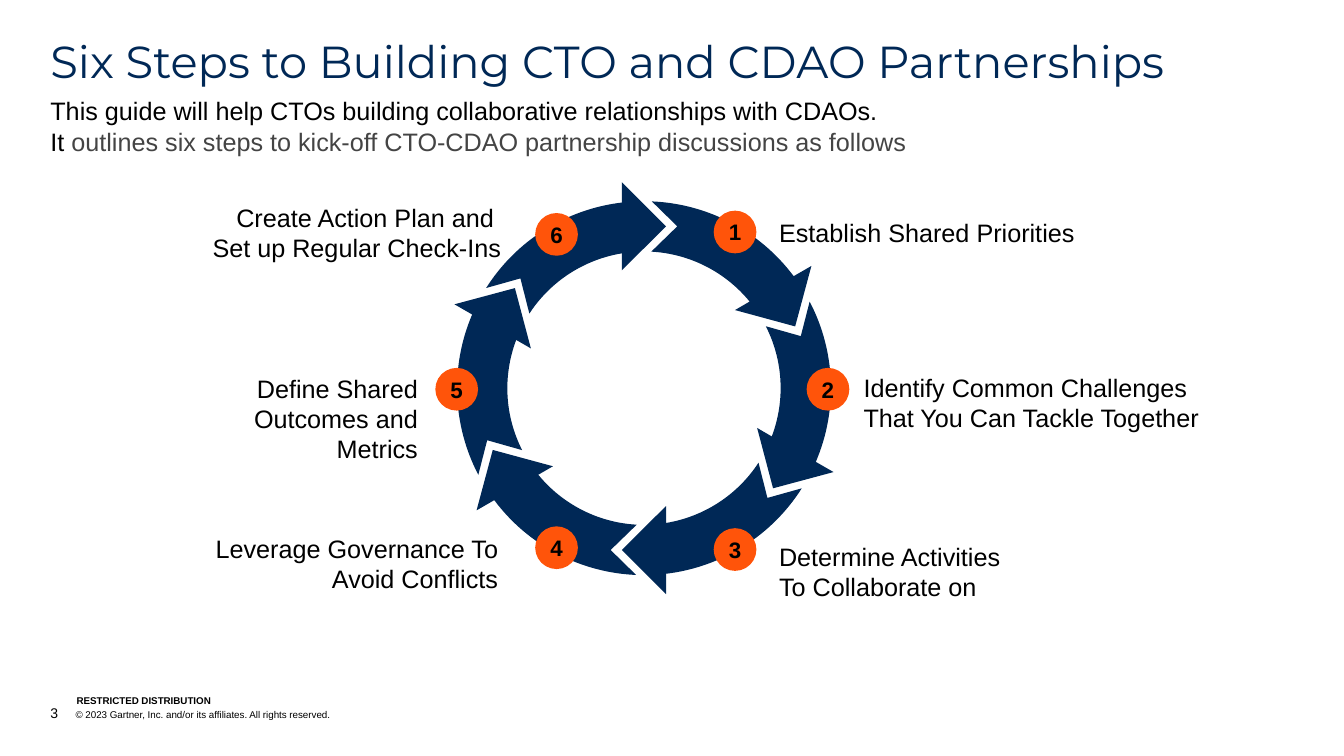
from dataclasses import dataclass
from math import atan2, cos, radians, sin, tan

from pptx import Presentation
from pptx import util as u
from pptx.dml.color import RGBColor
from pptx.enum import shapes, text
from pptx.oxml import ns
from lxml import etree


@dataclass(frozen=True)
class Theme:
    navy: RGBColor = RGBColor(0x00, 0x28, 0x56)
    orange: RGBColor = RGBColor(0xFF, 0x54, 0x0A)
    black: RGBColor = RGBColor(0x00, 0x00, 0x00)
    gray: RGBColor = RGBColor(0x44, 0x44, 0x44)
    heading_font: str = "Montserrat"
    body_font: str = "Arial"
    title_size: float = 32
    body_size: float = 18
    badge_size: float = 16
    page_size: float = 10
    footer_size: float = 7


@dataclass(frozen=True)
class Area:
    left: float
    top: float
    width: float
    height: float

    def lengths(self) -> list:
        return [u.Pt(value) for value in (self.left, self.top, self.width, self.height)]


@dataclass(frozen=True)
class Step:
    number: int
    lines: tuple
    area: Area
    badge_left: float
    badge_top: float
    align: text.PP_ALIGN


THEME = Theme()
LEFT, RIGHT = text.PP_ALIGN.LEFT, text.PP_ALIGN.RIGHT
BADGE_DIAMETER = 30.5
RING_CENTER = (460, 277.3)
ARROW_COUNT = 6
TAIL_OUTER, TAIL_NOTCH, TAIL_INNER = (5.6, -133.4), (23.8, -115.6), (5.2, -97.5)
HEAD_OUTER, HEAD_TIP, HEAD_INNER = (-15.8, -147.2), (15.8, -115.6), (-15.8, -84.2)
SHOULDER_OUTER, SHOULDER_INNER = (-15.8, -132.6), (-15.8, -96.3)
ARC_SEGMENTS = (0, 5)

STEPS = (
    Step(1, ("Establish Shared Priorities",),
         Area(549.4, 151.6, 236.2, 28.8), 509.8, 150.5, LEFT),
    Step(2, ("Identify Common Challenges That You Can Tackle Together",),
         Area(609.8, 262.1, 263.5, 51.1), 576.2, 262.8, LEFT),
    Step(3, ("Determine Activities To Collaborate on",),
         Area(549.4, 383, 182.2, 51.1), 509.8, 377.3, LEFT),
    Step(4, ("Leverage Governance To Avoid Conflicts",),
         Area(128.9, 377.3, 234, 51.1), 382.3, 376, RIGHT),
    Step(5, ("Define Shared Outcomes and Metrics",),
         Area(113.6, 262.8, 192, 72.7), 311, 262.8, RIGHT),
    Step(6, ("Create Action Plan and ", "Set up Regular Check-Ins"),
         Area(126, 140.8, 239, 51.1), 382.3, 152.2, RIGHT),
)


def style_font(font, size: float, color: RGBColor, bold: bool = False,
               name: str = THEME.body_font) -> None:
    font.name = name
    font.size = u.Pt(size)
    font.bold = bold
    font.color.rgb = color


def set_frame(frame, side: float, edge: float, anchor=text.MSO_ANCHOR.TOP) -> None:
    frame.word_wrap = True
    frame.auto_size = text.MSO_AUTO_SIZE.NONE
    frame.vertical_anchor = anchor
    frame.margin_left = frame.margin_right = u.Pt(side)
    frame.margin_top = frame.margin_bottom = u.Pt(edge)


def add_text(page, area: Area, lines: tuple, size: float, align=LEFT, bold: bool = False,
             side: float = 0, edge: float = 0, anchor=text.MSO_ANCHOR.TOP):
    box = page.shapes.add_textbox(*area.lengths())
    set_frame(box.text_frame, side, edge, anchor)
    box.text_frame.text = "\n".join(lines)
    for para in box.text_frame.paragraphs:
        para.alignment = align
        style_font(para.font, size, THEME.black, bold)
    return box


def add_title(page) -> None:
    title = page.shapes.title
    title.left, title.top, title.width, title.height = Area(36, 28.2, 888, 35.3).lengths()
    set_frame(title.text_frame, 0, 0)
    title.text_frame.text = "Six Steps to Building CTO and CDAO Partnerships"
    para = title.text_frame.paragraphs[0]
    para.alignment = LEFT
    para.line_spacing = 0.9
    style_font(para.font, THEME.title_size, THEME.navy, name=THEME.heading_font)


def add_intro(page) -> None:
    lines = ("This guide will help CTOs building collaborative relationships with CDAOs.", "It ")
    box = add_text(page, Area(36, 64.8, 888, 78.5), lines, THEME.body_size, edge=3.6)
    span = box.text_frame.paragraphs[1].add_run()
    span.text = "outlines six steps to kick-off CTO-CDAO partnership discussions as follows"
    span.font.color.rgb = THEME.gray


def rotate(point: tuple, angle: float) -> tuple:
    x, y = point
    return x * cos(angle) - y * sin(angle), x * sin(angle) + y * cos(angle)


def place(point: tuple) -> tuple:
    return u.Pt(RING_CENTER[0] + point[0]), u.Pt(RING_CENTER[1] + point[1])


def arc_handles(start: tuple, end: tuple) -> tuple:
    sweep = atan2(end[1], end[0]) - atan2(start[1], start[0])
    reach = 4 / 3 * tan(sweep / 4)
    return ((start[0] - reach * start[1], start[1] + reach * start[0]),
            (end[0] + reach * end[1], end[1] - reach * end[0]))


def arrow_outline() -> list:
    head = [rotate(point, radians(360 / ARROW_COUNT)) for point in
            (SHOULDER_OUTER, HEAD_OUTER, HEAD_TIP, HEAD_INNER, SHOULDER_INNER)]
    return [TAIL_OUTER, *head, TAIL_INNER, TAIL_NOTCH]


def bend(arrow, line, handles: tuple) -> None:
    curve = etree.Element(ns.qn("a:cubicBezTo"))
    for x, y in map(place, handles):
        etree.SubElement(curve, ns.qn("a:pt"), x=str(x - arrow.left), y=str(y - arrow.top))
    curve.append(line[0])
    line.getparent().replace(line, curve)


def add_ring(page) -> None:
    for index in range(ARROW_COUNT):
        angle = radians(index * 360 / ARROW_COUNT)
        corners = [rotate(point, angle) for point in arrow_outline()]
        builder = page.shapes.build_freeform(*place(corners[0]))
        builder.add_line_segments([place(corner) for corner in corners[1:]], close=True)
        arrow = builder.convert_to_shape()
        paint(arrow, THEME.navy)
        lines = arrow._element.xpath(".//a:lnTo")
        for segment in ARC_SEGMENTS:
            turned = [rotate(handle, angle) for handle in
                      arc_handles(*arrow_outline()[segment:segment + 2])]
            bend(arrow, lines[segment], turned)


def paint(shape, color: RGBColor) -> None:
    shape.shadow.inherit = False
    shape.fill.solid()
    shape.fill.fore_color.rgb = color
    shape.line.fill.background()


def add_step(page, step: Step) -> None:
    area = Area(step.badge_left, step.badge_top, BADGE_DIAMETER, BADGE_DIAMETER)
    badge = page.shapes.add_shape(shapes.MSO_SHAPE.OVAL, *area.lengths())
    paint(badge, THEME.orange)
    set_frame(badge.text_frame, 0, 0, text.MSO_ANCHOR.MIDDLE)
    para = badge.text_frame.paragraphs[0]
    para.text = str(step.number)
    para.alignment = text.PP_ALIGN.CENTER
    style_font(para.font, THEME.badge_size, THEME.black, bold=True)
    add_text(page, step.area, step.lines, THEME.body_size, step.align, side=7.2, edge=3.6)


def add_footer(page) -> None:
    bottom = text.MSO_ANCHOR.BOTTOM
    add_text(page, Area(54.7, 496.1, 182.2, 8.6), ("RESTRICTED DISTRIBUTION",),
             THEME.footer_size, bold=True, anchor=bottom)
    box = add_text(page, Area(36, 503.3, 575.3, 12.2), ("3",), THEME.page_size, anchor=bottom)
    para = box.text_frame.paragraphs[0]
    properties = para._p.get_or_add_pPr()
    properties.set("marL", str(u.Pt(18)))
    properties.set("indent", str(u.Pt(-18)))
    span = para.add_run()
    span.text = "\t© 2023 Gartner, Inc. and/or its affiliates. All rights reserved."
    span.font.size = u.Pt(THEME.footer_size)


def main() -> None:
    deck = Presentation()
    deck.slide_width, deck.slide_height = u.Pt(960), u.Pt(540)
    page = deck.slides.add_slide(deck.slide_layouts.get_by_name("Title Only"))
    add_title(page)
    add_intro(page)
    add_ring(page)
    for step in STEPS:
        add_step(page, step)
    add_footer(page)
    deck.save("out.pptx")


if __name__ == "__main__":
    main()
